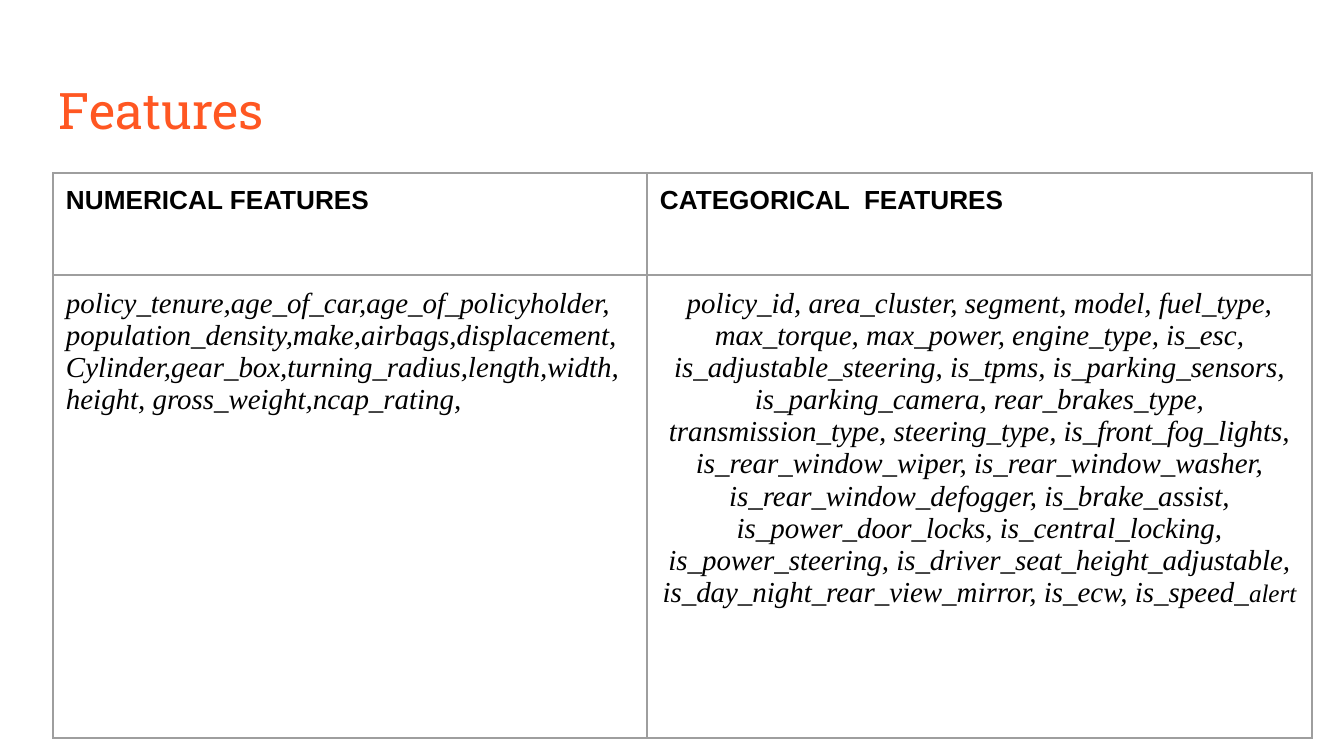
from lxml import etree
from pptx import Presentation
from pptx.dml.color import RGBColor
from pptx.enum.text import MSO_ANCHOR, PP_ALIGN
from pptx.oxml.ns import qn
from pptx.util import Pt

TOP = MSO_ANCHOR.TOP
LEFT = PP_ALIGN.LEFT
CENTER = PP_ALIGN.CENTER

PX = 914400 / 134.4
INSET = 13
COLORS = {"title": "FF5722", "text": "000000", "paper": "FFFFFF", "border": "9E9E9E"}

HEADINGS = ["NUMERICAL FEATURES", "CATEGORICAL  FEATURES"]
NUMERICAL = [
    "policy_tenure,age_of_car,age_of_policyholder,",
    "population_density,make,airbags,displacement,",
    "Cylinder,gear_box,turning_radius,length,width,",
    "height, gross_weight,ncap_rating,",
]
CATEGORICAL = (
    "policy_id, area_cluster, segment, model, fuel_type, max_torque, max_power, "
    "engine_type, is_esc, is_adjustable_steering, is_tpms, is_parking_sensors, "
    "is_parking_camera, rear_brakes_type, transmission_type, steering_type, "
    "is_front_fog_lights, is_rear_window_wiper, is_rear_window_washer, "
    "is_rear_window_defogger, is_brake_assist, is_power_door_locks, "
    "is_central_locking, is_power_steering, is_driver_seat_height_adjustable, "
    "is_day_night_rear_view_mirror, is_ecw, is_speed_"
)


def emu(px):
    return round(px * PX)


def rgb(name):
    return RGBColor.from_string(COLORS[name])


def set_margins(target):
    target.margin_left = target.margin_right = emu(INSET)
    target.margin_top = target.margin_bottom = emu(INSET)


def style_font(font, name, size, color="text", bold=False, italic=False):
    font.name = name
    font.size = Pt(size)
    font.color.rgb = rgb(color)
    font.bold = bold
    font.italic = italic


def write_lines(frame, lines, align=LEFT, **style):
    for index, line in enumerate(lines):
        para = frame.add_paragraph() if index else frame.paragraphs[0]
        para.alignment = align
        para.add_run().text = line
        style_font(para.font, **style)


def draw_borders(cell):
    properties = cell._tc.get_or_add_tcPr()
    for position, side in enumerate(("lnL", "lnR", "lnT", "lnB")):
        line = etree.Element(qn(f"a:{side}"), w=str(Pt(0.75)))
        fill = etree.SubElement(line, qn("a:solidFill"))
        etree.SubElement(fill, qn("a:srgbClr"), val=COLORS["border"])
        properties.insert(position, line)


def add_title(page, left, top, width, height):
    box = page.shapes.add_textbox(emu(left), emu(top), emu(width), emu(height))
    frame = box.text_frame
    frame.word_wrap = True
    frame.vertical_anchor = TOP
    set_margins(frame)
    write_lines(frame, ["Features"], name="Roboto Slab", size=27, color="title")


def add_feature_table(page, left, top, width, height):
    table = page.shapes.add_table(
        2, 2, emu(left), emu(top), emu(width), emu(height)
    ).table
    table.first_row = False
    table.horz_banding = False
    first_width, heading_height = 594, 102
    for column, size in zip(table.columns, (first_width, width - first_width)):
        column.width = emu(size)
    for row, size in zip(table.rows, (heading_height, height - heading_height)):
        row.height = emu(size)

    for cell in table.iter_cells():
        set_margins(cell)
        cell.vertical_anchor = TOP
        cell.fill.solid()
        cell.fill.fore_color.rgb = rgb("paper")
        draw_borders(cell)

    for column, heading in enumerate(HEADINGS):
        frame = table.cell(0, column).text_frame
        write_lines(frame, [heading], name="Arial", size=14, bold=True)

    body = {"name": "Times New Roman", "size": 15.5, "italic": True}
    write_lines(table.cell(1, 0).text_frame, NUMERICAL, **body)
    categorical_frame = table.cell(1, 1).text_frame
    write_lines(categorical_frame, [CATEGORICAL], CENTER, **body)
    span = categorical_frame.paragraphs[0].add_run()
    span.text = "alert"
    span.font.size = Pt(13.5)


def main():
    deck = Presentation()
    deck.slide_width = emu(1344)
    deck.slide_height = emu(756)
    page = deck.slides.add_slide(deck.slide_layouts[6])
    add_title(page, 46, 66, 1253, 85)
    add_feature_table(page, 53, 173, 1259, 565)
    deck.save("out.pptx")


if __name__ == "__main__":
    main()
